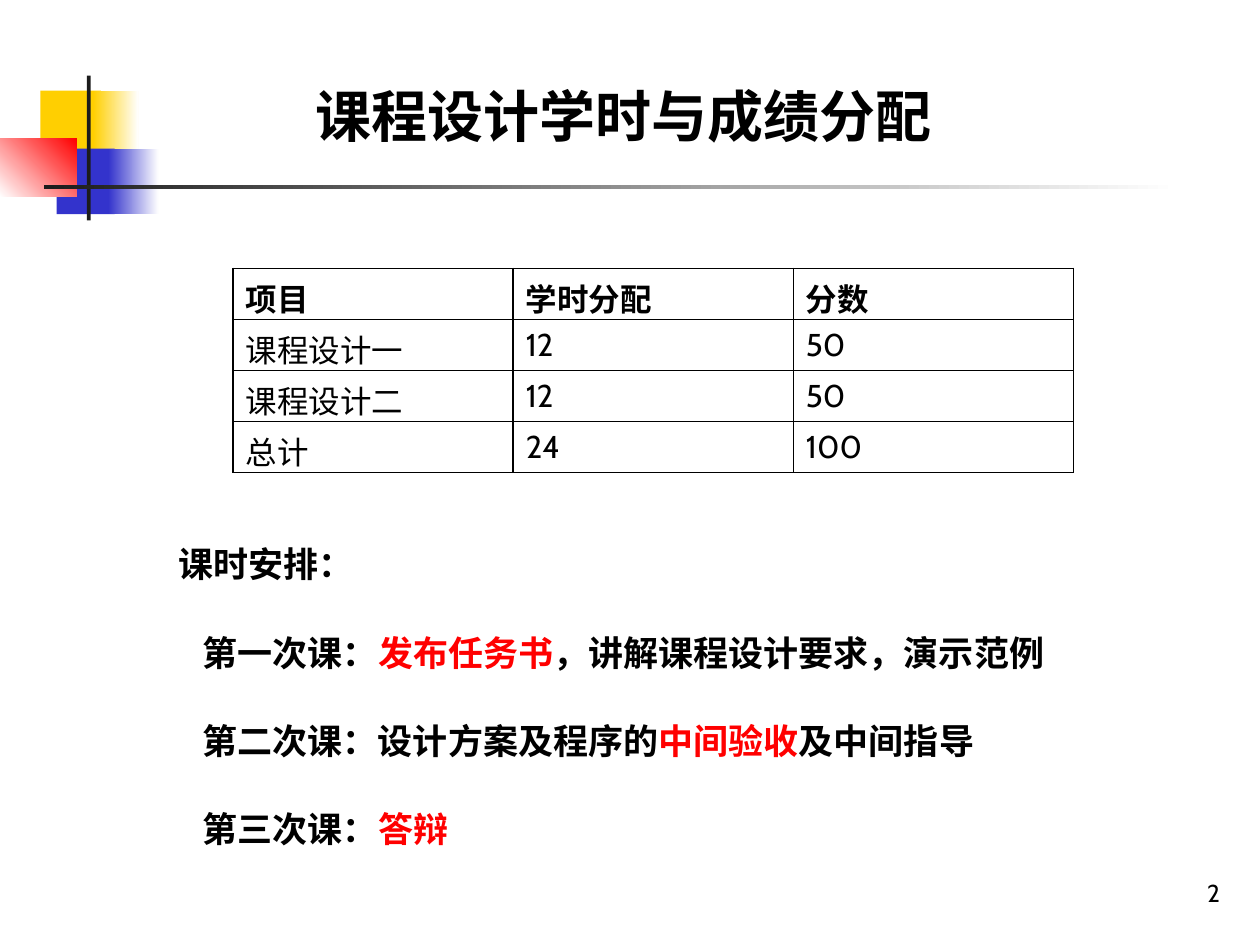
from lxml.etree import SubElement
from pptx import Presentation
from pptx.dml.color import RGBColor
from pptx.enum.shapes import MSO_SHAPE as Shape
from pptx.enum.text import MSO_ANCHOR as Anchor, PP_ALIGN as Align
from pptx.oxml.ns import qn
from pptx.util import Inches, Pt

BLACK, WHITE, RED = "000000", "FFFFFF", "FF0000"
YELLOW, BLUE, CHARCOAL = "FFCF01", "3333CC", "1C1C1C"


def color(value):
    return RGBColor.from_string(value)


class SlideBuilder:
    body_font = "Cabin"
    title_font = "Arial"

    def __init__(self, page):
        self.page = page

    def style(self, font, size, bold=False, name=body_font):
        font.name = name
        font.size = Pt(size)
        font.bold = bold
        font.color.rgb = color(BLACK)

    def block(self, place, *colors, angle=0):
        box = self.page.shapes.add_shape(Shape.RECTANGLE, *map(Inches, place))
        box.shadow.inherit = False
        box.line.fill.background()
        if len(colors) == 1:
            box.fill.solid()
            box.fill.fore_color.rgb = color(colors[0])
            return
        box.fill.gradient()
        box.fill.gradient_angle = angle
        for stop, value in zip(box.fill.gradient_stops, colors):
            stop.color.rgb = color(value)

    def title(self, place, text):
        box = self.page.shapes.title
        box.left, box.top, box.width, box.height = map(Inches, place)
        frame = box.text_frame
        frame.text = text
        frame.vertical_anchor = Anchor.MIDDLE
        para = frame.paragraphs[0]
        para.alignment = Align.LEFT
        self.style(para.font, 32, True, self.title_font)

    def text(self, place, spans, size, bold=False, wrap=False,
             align=Align.LEFT, anchor=Anchor.TOP):
        box = self.page.shapes.add_textbox(*map(Inches, place))
        frame = box.text_frame
        frame.word_wrap = wrap
        frame.vertical_anchor = anchor
        para = frame.paragraphs[0]
        para.alignment = align
        self.style(para.font, size, bold)
        for words, value in spans:
            span = para.add_run()
            span.text = words
            if value != BLACK:
                span.font.color.rgb = color(value)

    def border(self, cell):
        props = cell._tc.get_or_add_tcPr()
        for side in ("a:lnL", "a:lnR", "a:lnT", "a:lnB"):
            line = SubElement(props, qn(side), w=str(Pt(1)))
            fill = SubElement(line, qn("a:solidFill"))
            SubElement(fill, qn("a:srgbClr"), val=BLACK)

    def table(self, place, rows):
        frame = self.page.shapes.add_table(
            len(rows), len(rows[0]), *map(Inches, place))
        table = frame.table
        table.first_row = table.horz_banding = False
        for row_index, row in enumerate(rows):
            for column_index, words in enumerate(row):
                cell = table.cell(row_index, column_index)
                cell.text = words
                self.border(cell)
                cell.fill.background()
                self.style(cell.text_frame.paragraphs[0].font, 18,
                           row_index == 0)


def main():
    deck = Presentation()
    deck.slide_width, deck.slide_height = Inches(10), Inches(7.5)
    slide = SlideBuilder(deck.slides.add_slide(deck.slide_layouts[5]))

    slide.block((0.32, 0.72, 0.48, 0.52), YELLOW)
    slide.block((0.74, 0.72, 0.36, 0.52), YELLOW, WHITE)
    slide.block((0.45, 1.18, 0.46, 0.52), BLUE)
    slide.block((0.86, 1.18, 0.4, 0.52), BLUE, WHITE)
    slide.block((0, 1.1, 0.61, 0.46), WHITE, RED, angle=45)
    slide.block((0.69, 0.6, 0.03, 1.15), CHARCOAL)
    slide.block((0.35, 1.47, 9, 0.03), CHARCOAL, WHITE)

    slide.text((7.7, 6.75, 2.08, 0.5), [("2", BLACK)], 14, wrap=True,
               align=Align.RIGHT, anchor=Anchor.BOTTOM)
    slide.title((2.4, 0.6, 5.91, 0.63), "课程设计学时与成绩分配")
    slide.table((1.85, 2.13, 6.67, 1.62), [
        ("项目", "学时分配", "分数"),
        ("课程设计一", "12", "50"),
        ("课程设计二", "12", "50"),
        ("总计", "24", "100"),
    ])

    schedule = [
        (1.32, 1.61, [("课时安排：", BLACK)]),
        (1.51, 6.98, [("第一次课：", BLACK), ("发布任务书", RED),
                      ("，讲解课程设计要求，演示范例", BLACK)]),
        (1.51, 6.41, [("第二次课：设计方案及程序的", BLACK),
                      ("中间验收", RED), ("及中间指导", BLACK)]),
        (1.51, 2.18, [("第三次课：", BLACK), ("答辩", RED)]),
    ]
    for index, (left, width, spans) in enumerate(schedule):
        slide.text((left, 4.26 + 0.7 * index, width, 0.44), spans, 20, True)

    deck.save("out.pptx")


if __name__ == "__main__":
    main()
